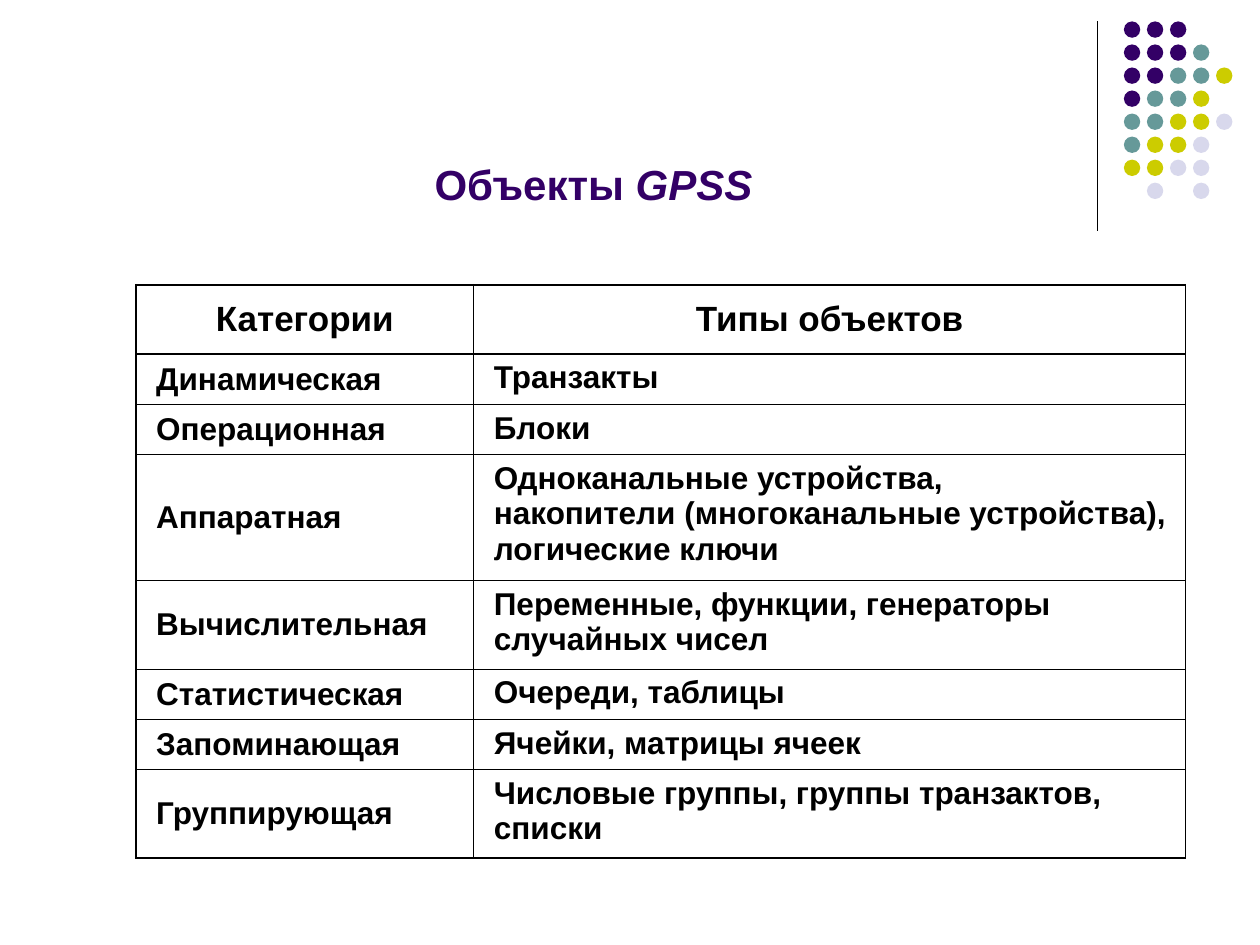
"""Build the slide that lists GPSS object categories and their types."""
import dataclasses

import lxml.etree
import pptx
import pptx.dml.color
import pptx.enum.shapes
import pptx.enum.text
import pptx.oxml.ns
import pptx.util

Inches = pptx.util.Inches
Pt = pptx.util.Pt
ALIGN = pptx.enum.text.PP_ALIGN
ANCHOR = pptx.enum.text.MSO_ANCHOR


@dataclasses.dataclass(frozen=True)
class Theme:
    """Colours, font, type sizes and line widths of the slide."""
    font: str = "Arial"
    black: str = "000000"
    violet: str = "330066"
    teal: str = "669999"
    olive: str = "CCCC00"
    lavender: str = "D8D8EC"
    title_size: float = 24
    header_size: float = 20
    body_size: float = 18
    rule_width: float = 0.75
    thick_border: float = 1.08
    thin_border: float = 0.45


THEME = Theme()

DOT_COLORS = {"V": THEME.violet, "T": THEME.teal, "O": THEME.olive, "L": THEME.lavender}
DOT_ROWS = ["VVV", "VVVT", "VVTTO", "VTTO", "TTOOL", "TOOL", "OOLL", ".L.L"]
DOT_LEFT, DOT_TOP, DOT_SIZE = 8.92, 0.17, 0.13
DOT_PITCH = 1.28 / (len(DOT_ROWS) - 1)

COLUMN_WIDTHS = [2.68, 5.65]
ROW_HEIGHTS = [0.55, 0.4, 0.4, 1, 0.7, 0.4, 0.4, 0.7]
OBJECT_ROWS = [
    ("Категории", "Типы объектов"),
    ("Динамическая", "Транзакты"),
    ("Операционная", "Блоки"),
    ("Аппаратная", "Одноканальные устройства,\nнакопители (многоканальные устройства), логические ключи"),
    ("Вычислительная", "Переменные, функции, генераторы случайных чисел"),
    ("Статистическая", "Очереди, таблицы"),
    ("Запоминающая", "Ячейки, матрицы ячеек"),
    ("Группирующая", "Числовые группы, группы транзактов, списки"),
]


def rgb(value):
    """Return a colour object for a hexadecimal string."""
    return pptx.dml.color.RGBColor.from_string(value)


def write_text(paragraph, text, *, size, color=THEME.black, bold=True, italic=False,
               align=ALIGN.LEFT, space_before=0):
    """Append formatted text to a paragraph, breaking lines at newlines."""
    paragraph.alignment = align
    paragraph.space_before = Pt(space_before)
    for index, line in enumerate(text.split("\n")):
        if index:
            paragraph.add_line_break()
        run = paragraph.add_run()
        run.text = line
        run.font.name = THEME.font
        run.font.size = Pt(size)
        run.font.bold = bold
        run.font.italic = italic
        run.font.color.rgb = rgb(color)


def add_title(slide):
    """Place and fill the title placeholder."""
    title = slide.shapes.title
    title.left, title.top = Inches(1.22), Inches(1.07)
    title.width, title.height = Inches(6.98), Inches(0.64)
    frame = title.text_frame
    frame.auto_size = pptx.enum.text.MSO_AUTO_SIZE.NONE
    frame.vertical_anchor = ANCHOR.BOTTOM
    for text, italic in (("Объекты ", False), ("GPSS", True)):
        write_text(frame.paragraphs[0], text, size=THEME.title_size, color=THEME.violet,
                   italic=italic, align=ALIGN.CENTER)


def add_rule(slide):
    """Draw the vertical rule beside the dots."""
    rule = slide.shapes.add_connector(
        pptx.enum.shapes.MSO_CONNECTOR.STRAIGHT,
        Inches(8.71), Inches(0.17), Inches(8.71), Inches(1.83))
    rule.line.color.rgb = rgb(THEME.black)
    rule.line.width = Pt(THEME.rule_width)
    properties = rule._element.spPr
    lxml.etree.SubElement(properties, pptx.oxml.ns.qn("a:effectLst"))


def add_dots(slide):
    """Draw the grouped grid of coloured dots."""
    group = slide.shapes.add_group_shape()
    for row, colors in enumerate(DOT_ROWS):
        for column, key in enumerate(colors):
            if key not in DOT_COLORS:
                continue
            dot = group.shapes.add_shape(
                pptx.enum.shapes.MSO_SHAPE.OVAL,
                Inches(DOT_LEFT + column * DOT_PITCH), Inches(DOT_TOP + row * DOT_PITCH),
                Inches(DOT_SIZE), Inches(DOT_SIZE))
            dot.shadow.inherit = False
            dot.fill.solid()
            dot.fill.fore_color.rgb = rgb(DOT_COLORS[key])
            dot.line.fill.background()


def set_borders(cell, widths):
    """Give a cell solid borders, before its fill, from widths keyed by side."""
    properties = cell._tc.get_or_add_tcPr()
    for position, (side, width) in enumerate(widths.items()):
        line = lxml.etree.Element(pptx.oxml.ns.qn(f"a:ln{side}"), w=str(Pt(width)))
        fill = lxml.etree.SubElement(line, pptx.oxml.ns.qn("a:solidFill"))
        lxml.etree.SubElement(fill, pptx.oxml.ns.qn("a:srgbClr"), val=THEME.black)
        properties.insert(position, line)


def format_cell(cell, text, row, column):
    """Fill in one table cell according to its place in the table."""
    header = row == 0
    cell.fill.background()
    cell.margin_left = Inches(0.1 if header else 0.16)
    cell.margin_right = Inches(0.1)
    cell.margin_top = cell.margin_bottom = Inches(0.05)
    cell.vertical_anchor = ANCHOR.MIDDLE if header or column == 0 else ANCHOR.TOP
    write_text(cell.text_frame.paragraphs[0], text,
               size=THEME.header_size if header else THEME.body_size,
               align=ALIGN.CENTER if header else ALIGN.LEFT,
               space_before=5 if header else 4.5)
    thick_sides = {
        "L": column == 0,
        "R": column == len(COLUMN_WIDTHS) - 1,
        "T": row <= 1,
        "B": row in (0, len(ROW_HEIGHTS) - 1),
    }
    set_borders(cell, {side: THEME.thick_border if thick else THEME.thin_border
                       for side, thick in thick_sides.items()})


def add_object_table(slide):
    """Add the table of categories and object types."""
    table = slide.shapes.add_table(
        len(ROW_HEIGHTS), len(COLUMN_WIDTHS), Inches(1.08), Inches(2.26),
        Inches(sum(COLUMN_WIDTHS)), Inches(sum(ROW_HEIGHTS))).table
    table.horz_banding = False
    for column, width in zip(table.columns, COLUMN_WIDTHS):
        column.width = Inches(width)
    for row, height in zip(table.rows, ROW_HEIGHTS):
        row.height = Inches(height)
    for row, texts in enumerate(OBJECT_ROWS):
        for column, text in enumerate(texts):
            format_cell(table.cell(row, column), text, row, column)


def main():
    """Create the presentation and save it."""
    presentation = pptx.Presentation()
    presentation.slide_width, presentation.slide_height = Inches(10), Inches(7.5)
    slide = presentation.slides.add_slide(presentation.slide_layouts[5])
    add_rule(slide)
    add_dots(slide)
    add_title(slide)
    add_object_table(slide)
    presentation.save("out.pptx")


if __name__ == "__main__":
    main()
